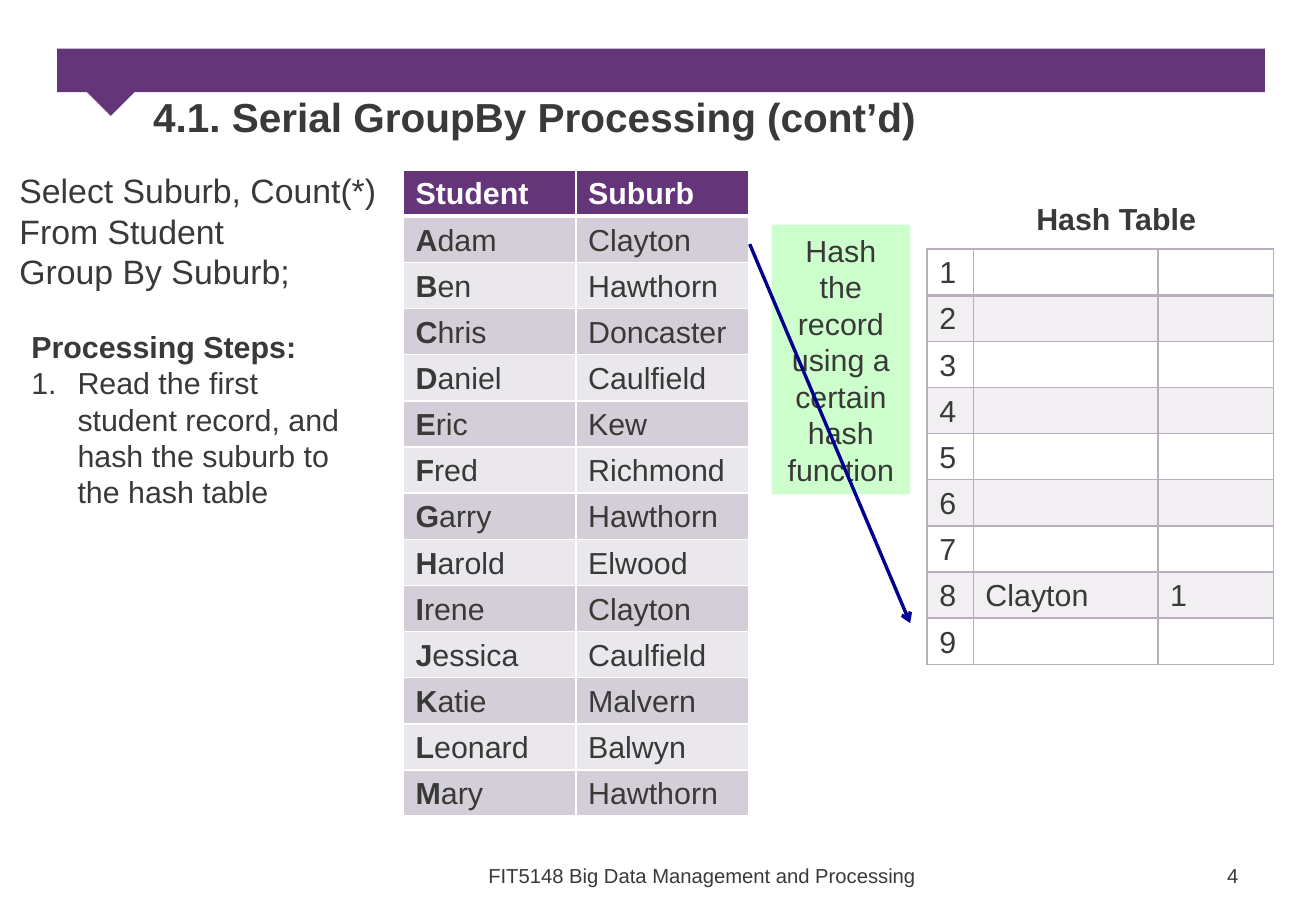
from lxml import etree
from pptx import Presentation
from pptx.dml.color import RGBColor
from pptx.enum.shapes import MSO_CONNECTOR, MSO_SHAPE
from pptx.enum.text import MSO_ANCHOR, MSO_AUTO_SIZE, PP_ALIGN
from pptx.oxml.ns import qn
from pptx.util import Inches, Pt

RECT = MSO_SHAPE.RECTANGLE
LINE = MSO_CONNECTOR.STRAIGHT
LEFT, CENTER = PP_ALIGN.LEFT, PP_ALIGN.CENTER
TOP = MSO_ANCHOR.TOP
FIXED = MSO_AUTO_SIZE.NONE

COLORS = {
    "text": "393938", "white": "FFFFFF", "purple": "653579", "green": "CCFFCC",
    "dark": "D3CED7", "light": "EAE8EC", "grid": "B8AEBE", "tint": "F1EFF2",
    "navy": "000090",
}
FONT = "Arial"
ROW = 0.38  # row height of both tables

STUDENTS = [
    ("Adam", "Clayton"), ("Ben", "Hawthorn"), ("Chris", "Doncaster"),
    ("Daniel", "Caulfield"), ("Eric", "Kew"), ("Fred", "Richmond"),
    ("Garry", "Hawthorn"), ("Harold", "Elwood"), ("Irene", "Clayton"),
    ("Jessica", "Caulfield"), ("Katie", "Malvern"), ("Leonard", "Balwyn"),
    ("Mary", "Hawthorn"),
]
HASHED = {8: ("Clayton", "1")}


def rgb(name):
    return RGBColor.from_string(COLORS[name])


class Deck:
    def __init__(self, wide, high):
        self.prs = Presentation()
        self.prs.slide_width, self.prs.slide_height = Inches(wide), Inches(high)
        self.slide = self.prs.slides.add_slide(self.prs.slide_layouts[1])
        self.shapes = self.slide.shapes

    def style(self, para, size=18, bold=False, color="text", align=LEFT):
        para.alignment = align
        para.line_spacing = Pt(size * 1.2)
        para.space_before = Pt(0)
        for run in para.runs:
            font = run.font
            font.name, font.size, font.bold = FONT, Pt(size), bold
            font.color.rgb = rgb(color)

    def bullet(self, para, indent, kind, **attrs):
        props = para._p.get_or_add_pPr()
        props.set("marL", str(Inches(indent)))
        props.set("indent", str(-Inches(indent)))
        etree.SubElement(props, qn("a:" + kind), attrs)

    def holder(self, shape, box, text, size, bold=False):
        shape.left, shape.top, shape.width, shape.height = map(Inches, box)
        frame = shape.text_frame
        frame.text = text
        frame.auto_size, frame.vertical_anchor = FIXED, TOP
        frame.margin_left = frame.margin_top = 0
        frame.margin_right = frame.margin_bottom = 0
        for para in frame.paragraphs:
            self.style(para, size, bold)
        return frame.paragraphs

    def text(self, box, text, size=18, bold=False, wrap=False):
        frame = self.shapes.add_textbox(*map(Inches, box)).text_frame
        frame.word_wrap = wrap
        frame.text = text
        for para in frame.paragraphs:
            self.style(para, size, bold)
        return frame.paragraphs

    def rect(self, box, color, text="", turn=0):
        shape = self.shapes.add_shape(RECT, *map(Inches, box))
        shape.shadow.inherit = False
        shape.fill.solid()
        shape.fill.fore_color.rgb = rgb(color)
        shape.line.fill.background()
        shape.rotation = turn
        if text:
            shape.text_frame.text = text
            self.style(shape.text_frame.paragraphs[0], align=CENTER)

    def arrow(self, start, end, color, width):
        line = self.shapes.add_connector(LINE, *map(Inches, start + end))
        line.line.color.rgb = rgb(color)
        line.line.width = Pt(width)
        etree.SubElement(line.line._get_or_add_ln(), qn("a:tailEnd"), type="arrow")
        etree.SubElement(line._element.spPr, qn("a:effectLst"))

    def border(self, cell, color, top, bottom):
        props = cell._tc.get_or_add_tcPr()
        for side, width in (("L", 1), ("R", 1), ("T", top), ("B", bottom)):
            ln = etree.SubElement(props, qn("a:ln" + side), w=str(Pt(width)))
            fill = etree.SubElement(ln, qn("a:solidFill"))
            etree.SubElement(fill, qn("a:srgbClr"), val=COLORS[color])

    def table(self, left, top, cols, rows, line, thick, bands, head=None):
        """Draw rows in two alternating fills; head fills the first row."""
        box = (left, top, sum(cols), ROW * len(rows))
        table = self.shapes.add_table(len(rows), len(cols), *map(Inches, box)).table
        table.first_row, table.horz_banding = bool(head), False
        for col, width in zip(table.columns, cols):
            col.width = Inches(width)
        for r, row in enumerate(rows):
            table.rows[r].height = Inches(ROW)
            fill = head if head and r == 0 else bands[r % 2]
            for c, text in enumerate(row):
                cell = table.cell(r, c)
                cell.margin_top = cell.margin_bottom = Inches(0.04)
                self.border(cell, line, thick if r == 1 else 1, thick if r == 0 else 1)
                if fill:
                    cell.fill.solid()
                    cell.fill.fore_color.rgb = rgb(fill)
                else:
                    cell.fill.background()
                para = cell.text_frame.paragraphs[0]
                para.text = text
                titled = fill == head and r == 0 and bool(head)
                self.style(para, bold=titled, color="white" if titled else "text")
        return table

    def initial(self, cell):
        """Make the first letter of a cell bold."""
        para = cell.text_frame.paragraphs[0]
        name = para.text
        para.text = name[0]
        para.add_run().text = name[1:]
        self.style(para)
        para.runs[0].font.bold = True


def main():
    deck = Deck(10.83, 7.5)

    # Banner and footer
    deck.rect((0.47, 0.4, 9.94, 0.36), "purple")
    deck.rect((0.78, 0.5, 0.32, 0.4), "purple", turn=45)
    deck.text((3.92, 7.06, 3.76, 0.3), "FIT5148 Big Data Management and Processing", 12)
    deck.text((10, 7.06, 0.41, 0.3), "4", 12)

    # Title and query
    deck.holder(deck.shapes.title, (1.26, 0.76, 9.21, 0.5),
                "4.1. Serial GroupBy Processing (cont’d)", 24, True)
    query = "Select Suburb, Count(*)\nFrom Student\nGroup By Suburb;"
    body = deck.slide.placeholders[1]
    for para in deck.holder(body, (0.16, 1.4, 3.16, 1.26), query, 20):
        deck.bullet(para, 0.32, "buNone")

    # Processing steps
    steps = deck.text(
        (0.16, 2.65, 2.84, 1.92),
        "Processing Steps:\nRead the first student record, and hash the suburb to the hash table",
        wrap=True)
    deck.style(steps[0], bold=True)
    deck.bullet(steps[1], 0.38, "buAutoNum", type="arabicPeriod")

    # Student table
    rows = [("Student", "Suburb")] + STUDENTS
    table = deck.table(3.32, 1.4, (1.42, 1.42), rows, "white", 3,
                       ("light", "dark"), "purple")
    for r in range(1, len(rows)):
        deck.initial(table.cell(r, 0))

    # Hash table
    deck.text((8.43, 1.6, 1.53, 0.4), "Hash Table", bold=True)
    slots = [(str(n),) + HASHED.get(n, ("", "")) for n in range(1, 10)]
    deck.table(7.63, 2.05, (0.38, 1.52, 0.95), slots, "grid", 2, (None, "tint"))

    # Hash step
    deck.rect((6.35, 1.85, 1.14, 2.22), "green",
              "Hash the record using a certain hash function")
    deck.arrow((6.17, 2.01), (7.49, 5.13), "navy", 2)

    deck.prs.save("out.pptx")


if __name__ == "__main__":
    main()
